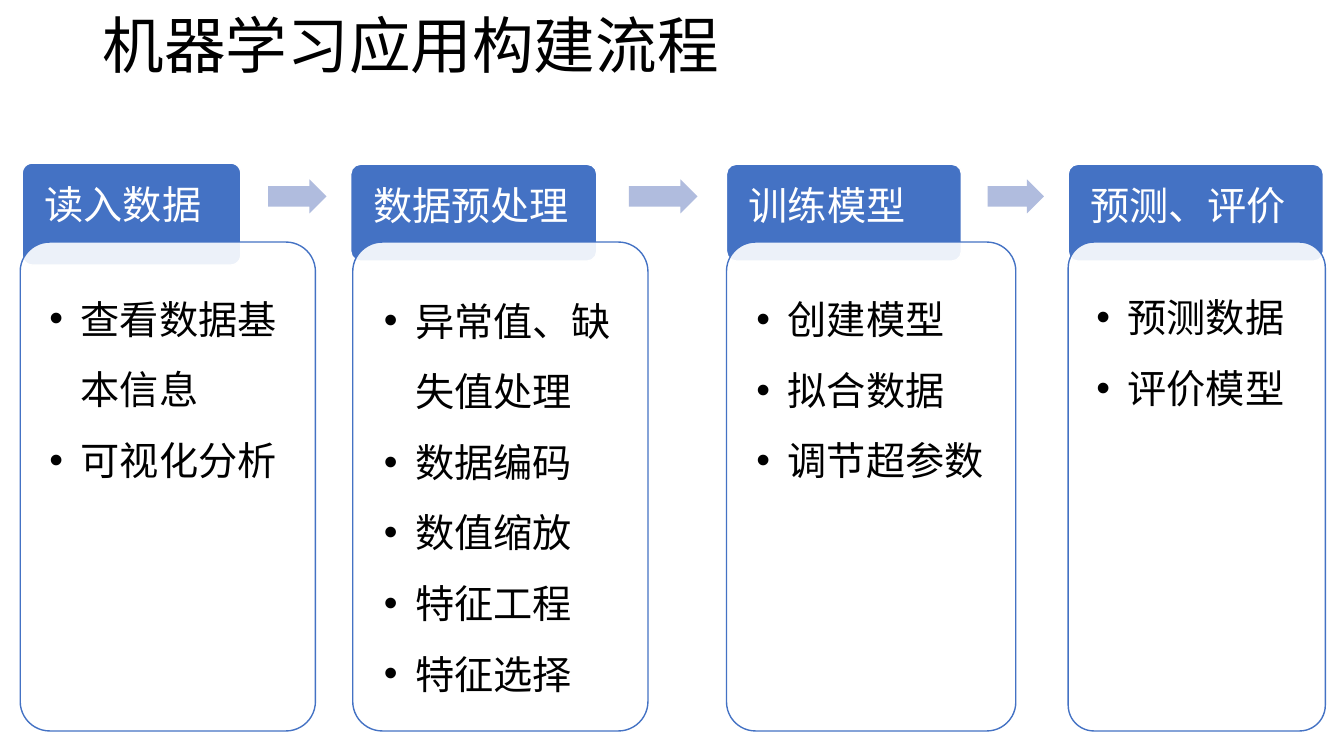
from lxml import etree
from pptx import Presentation
from pptx import util as u
from pptx.dml.color import RGBColor
from pptx.enum import shapes, text
from pptx.oxml import ns

WHITE = RGBColor(0xFF, 0xFF, 0xFF)
BLACK = RGBColor(0, 0, 0)
BLUE = RGBColor(0x44, 0x72, 0xC4)
PALE = RGBColor(0xB0, 0xBC, 0xDE)
FONT = "Noto Sans CJK SC"
KIND = shapes.MSO_SHAPE

# Lengths in centimetres
STEPS = [
    {"title": "读入数据", "head": (0.56, 4.11, 5.51, 2.57), "card": (0.51, 7.44),
     "pad": 0.74, "items": ["查看数据基本信息", "可视化分析"]},
    {"title": "数据预处理", "head": (8.84, 4.14, 6.2, 2.44), "card": (8.89, 7.44),
     "pad": 0.79, "items": ["异常值、缺失值处理", "数据编码", "数值缩放", "特征工程", "特征选择"]},
    {"title": "训练模型", "head": (18.31, 4.14, 5.92, 2.44), "card": (18.31, 7.29),
     "pad": 0.76, "items": ["创建模型", "拟合数据", "调节超参数"]},
    {"title": "预测、评价", "head": (26.92, 4.14, 6.43, 2.44), "card": (26.92, 6.48),
     "pad": 0.74, "items": ["预测数据", "评价模型"]},
]
ARROWS = [(6.76, 1.47), (15.85, 1.73), (24.89, 1.42)]


def add_tag(parent, name, **attrs):
    return etree.SubElement(parent, ns.qn(name), attrs)


def set_all(obj, values):
    for key, value in values.items():
        setattr(obj, key, value)


def write(frame, lines, size, color, space, pads, anchor="TOP", bullet=False):
    sides = ("margin_left", "margin_top", "margin_right", "margin_bottom")
    set_all(frame, {"word_wrap": True,
                    "vertical_anchor": getattr(text.MSO_ANCHOR, anchor),
                    **{side: u.Cm(pad) for side, pad in zip(sides, pads)}})
    for i, line in enumerate(lines):
        para = frame.add_paragraph() if i else frame.paragraphs[0]
        set_all(para, {"alignment": text.PP_ALIGN.LEFT, "line_spacing": space})
        run = para.add_run()
        run.text = line
        set_all(run.font, {"size": u.Pt(size), "name": FONT})
        run.font.color.rgb = color
        add_tag(run.font._element, "a:ea", typeface=FONT)
        if bullet:
            props = para._p.get_or_add_pPr()
            props.set("marL", str(u.Cm(0.79)))
            props.set("indent", str(-u.Cm(0.79)))
            add_tag(props, "a:buFont", typeface="Arial")
            add_tag(props, "a:buChar", char="•")


def add_box(slide, kind, box, fill, edge=None):
    shape = slide.shapes.add_shape(kind, *map(u.Cm, box))
    shape.shadow.inherit = False
    shape.fill.solid()
    shape.fill.fore_color.rgb = fill
    if edge is None:
        shape.line.fill.background()
    else:
        shape.line.color.rgb = edge
        shape.line.width = u.Pt(1)
    return shape


def add_head(slide, step):
    head = add_box(slide, KIND.ROUNDED_RECTANGLE, step["head"], BLUE, WHITE)
    head.adjustments[0] = 0.1
    write(head.text_frame, [step["title"]], 28, WHITE, 0.9, (0.49, 0.49, 0.49, 1.05))


def add_card(slide, step):
    left, width = step["card"]
    card = add_box(slide, KIND.ROUNDED_RECTANGLE, (left, 6.1, width, 12.32), WHITE, BLUE)
    card.adjustments[0] = 0.1
    tint = card.fill._xPr.find(".//" + ns.qn("a:srgbClr"))
    add_tag(tint, "a:alpha", val="90000")
    pad = step["pad"] - 0.22
    write(card.text_frame, step["items"], 28, BLACK, 1.5, (pad,) * 4, bullet=True)


def add_arrow(slide, left, width):
    arrow = add_box(slide, KIND.RIGHT_ARROW, (left, 4.52, width, 0.86), PALE)
    arrow.adjustments[0] = 0.6
    arrow.adjustments[1] = 0.5


def main():
    deck = Presentation()
    set_all(deck, {"slide_width": u.Cm(33.87), "slide_height": u.Cm(19.05)})
    slide = deck.slides.add_slide(deck.slide_layouts[6])
    title = slide.shapes.add_textbox(*map(u.Cm, (2.34, 0, 29.21, 2.44)))
    write(title.text_frame, ["机器学习应用构建流程"], 44, BLACK, 0.9,
          (0.25, 0.13, 0.25, 0.13), "MIDDLE")
    for step in STEPS:
        add_head(slide, step)
        add_card(slide, step)
    for left, width in ARROWS:
        add_arrow(slide, left, width)
    deck.save("out.pptx")


if __name__ == "__main__":
    main()
